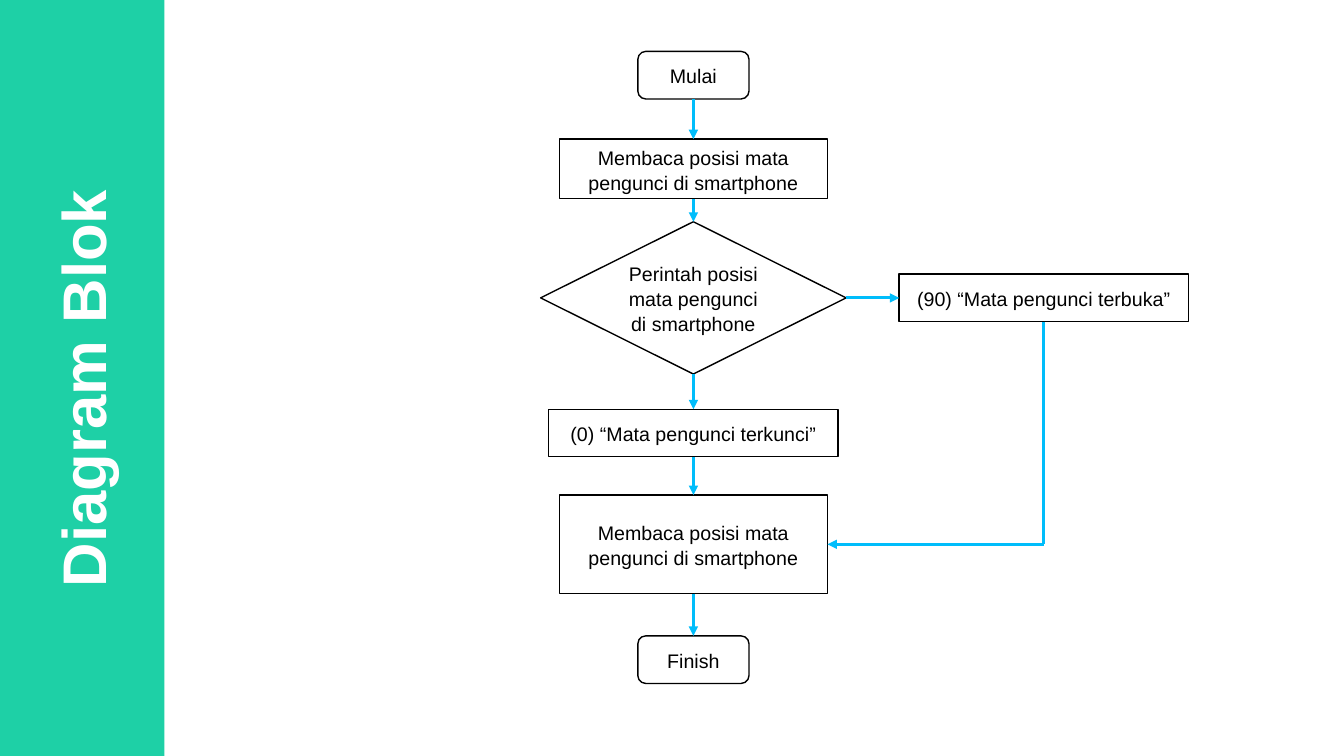
"""Build the "Diagram Blok" flowchart slide."""
from pptx import Presentation
from pptx.dml.color import RGBColor
from pptx.enum.shapes import MSO_CONNECTOR, MSO_SHAPE
from pptx.enum.text import MSO_ANCHOR, MSO_AUTO_SIZE, PP_ALIGN
from pptx.oxml.ns import qn
from pptx.util import Pt
from lxml.etree import SubElement

GREEN = RGBColor(0x1E, 0xD0, 0xA6)
CYAN = RGBColor(0x00, 0xBD, 0xFB)
WHITE = RGBColor(0xFF, 0xFF, 0xFF)
BLACK = RGBColor(0x00, 0x00, 0x00)
MAIN_X = 495.3
SIDE_X = 745.6
TOP, LEFT, BOTTOM, RIGHT = range(4)


def add_text(tf, text, size, color, align, bold=False):
    tf.word_wrap = True
    p = tf.paragraphs[0]
    p.alignment = align
    r = p.add_run()
    r.text = text
    r.font.name = "Arial"
    r.font.size = Pt(size)
    r.font.bold = bold
    r.font.color.rgb = color
    return p


def add_line(x1, y1, x2, y2, arrow=True):
    line = s.shapes.add_connector(MSO_CONNECTOR.STRAIGHT, Pt(x1), Pt(y1), Pt(x2), Pt(y2))
    line.line.color.rgb = CYAN
    line.line.width = Pt(2.25)
    if arrow:
        SubElement(line.line._get_or_add_ln(), qn("a:tailEnd"), type="triangle")
    SubElement(line.element.spPr, qn("a:effectLst"))
    return line


prs = Presentation()
prs.slide_width, prs.slide_height = Pt(960), Pt(540)
s = prs.slides.add_slide(prs.slide_layouts[5])

strip = s.shapes.add_shape(MSO_SHAPE.RECTANGLE, 0, 0, Pt(117.4), Pt(540))
strip.shadow.inherit = False
strip.fill.solid()
strip.fill.fore_color.rgb = GREEN
strip.line.fill.background()

title = s.shapes.title
strip.element.addnext(title.element)
title.left, title.top, title.width, title.height = Pt(-97.9), Pt(239.8), Pt(313.2), Pt(60.5)
title.rotation = 270
title.text_frame.auto_size = MSO_AUTO_SIZE.NONE
title.text_frame.vertical_anchor = MSO_ANCHOR.TOP
add_text(title.text_frame, "Diagram Blok", 44, WHITE, PP_ALIGN.LEFT, bold=True)

READ = "Membaca posisi mata pengunci di smartphone"
steps = [
    ("start", MSO_SHAPE.ROUNDED_RECTANGLE, MAIN_X, 36.7, 79.4, 34, "Mulai"),
    ("read", MSO_SHAPE.RECTANGLE, MAIN_X, 99.4, 191.6, 42.6, READ),
    ("decide", MSO_SHAPE.DIAMOND, MAIN_X, 158.4, 218.2, 108.8,
     "Perintah posisi mata pengunci di smartphone"),
    ("open", MSO_SHAPE.RECTANGLE, SIDE_X, 195.8, 206.6, 34, "(90) “Mata pengunci terbuka”"),
    ("locked", MSO_SHAPE.RECTANGLE, MAIN_X, 292.3, 206.6, 34, "(0) “Mata pengunci terkunci”"),
    ("reread", MSO_SHAPE.RECTANGLE, MAIN_X, 353.6, 191.6, 70.4, READ),
    ("finish", MSO_SHAPE.ROUNDED_RECTANGLE, MAIN_X, 454.2, 79.4, 34, "Finish"),
]
boxes = {}
for name, kind, x, y, w, h, text in steps:
    sp = s.shapes.add_shape(kind, Pt(x - w / 2), Pt(y), Pt(w), Pt(h))
    sp.shadow.inherit = False
    sp.fill.solid()
    sp.fill.fore_color.rgb = WHITE
    sp.line.color.rgb = BLACK
    sp.line.width = Pt(1)
    sp.text_frame.vertical_anchor = MSO_ANCHOR.MIDDLE
    p = add_text(sp.text_frame, text, 14, BLACK, PP_ALIGN.CENTER)
    p.line_spacing = 1.07
    p.space_after = Pt(8)
    boxes[name] = sp

links = [
    ("start", BOTTOM, "read", TOP),
    ("read", BOTTOM, "decide", TOP),
    ("decide", RIGHT, "open", LEFT),
    ("decide", BOTTOM, "locked", TOP),
    ("locked", BOTTOM, "reread", TOP),
    ("reread", BOTTOM, "finish", TOP),
]
for source, side, target, target_side in links:
    line = add_line(0, 0, 0, 0)
    line.begin_connect(boxes[source], side)
    line.end_connect(boxes[target], target_side)

down = add_line(SIDE_X, 229.8, SIDE_X, 388.8, arrow=False)
down.begin_connect(boxes["open"], BOTTOM)
back = add_line(SIDE_X, 388.8, 591.1, 388.8)
back.end_connect(boxes["reread"], RIGHT)

prs.save("out.pptx")
